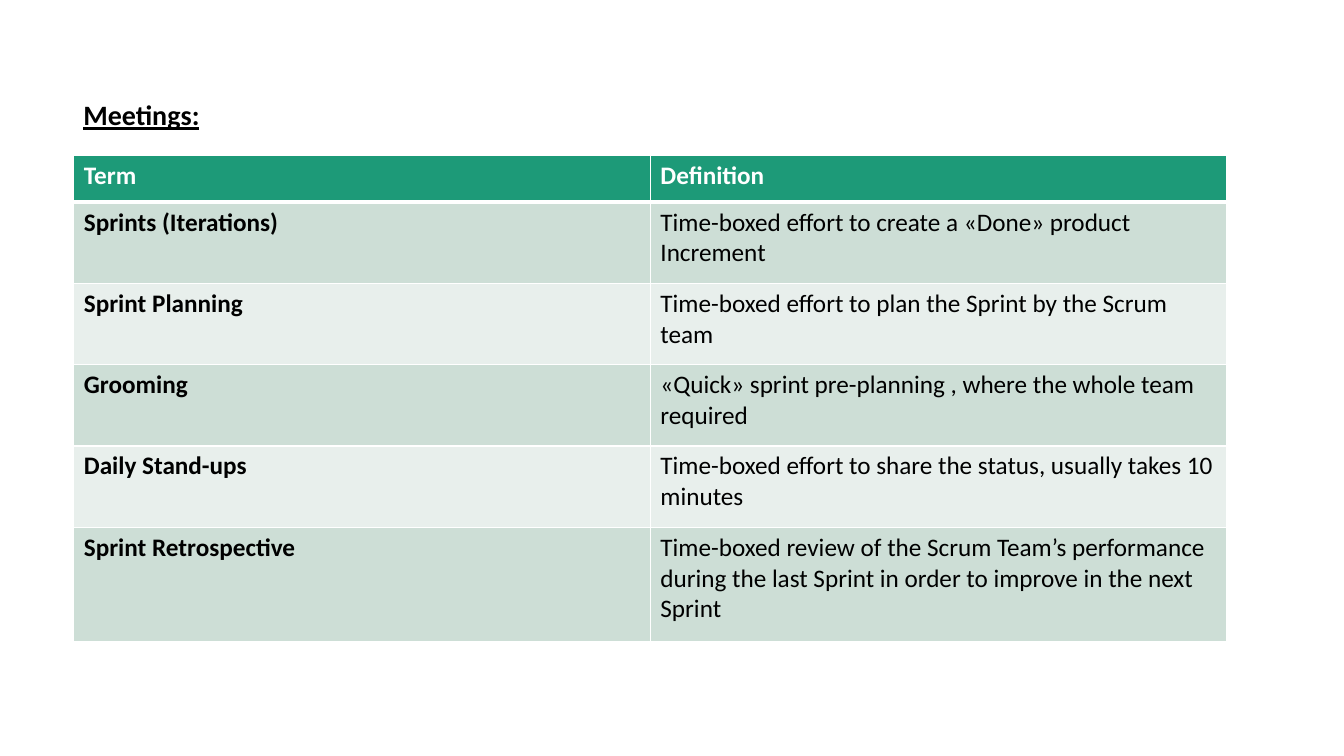
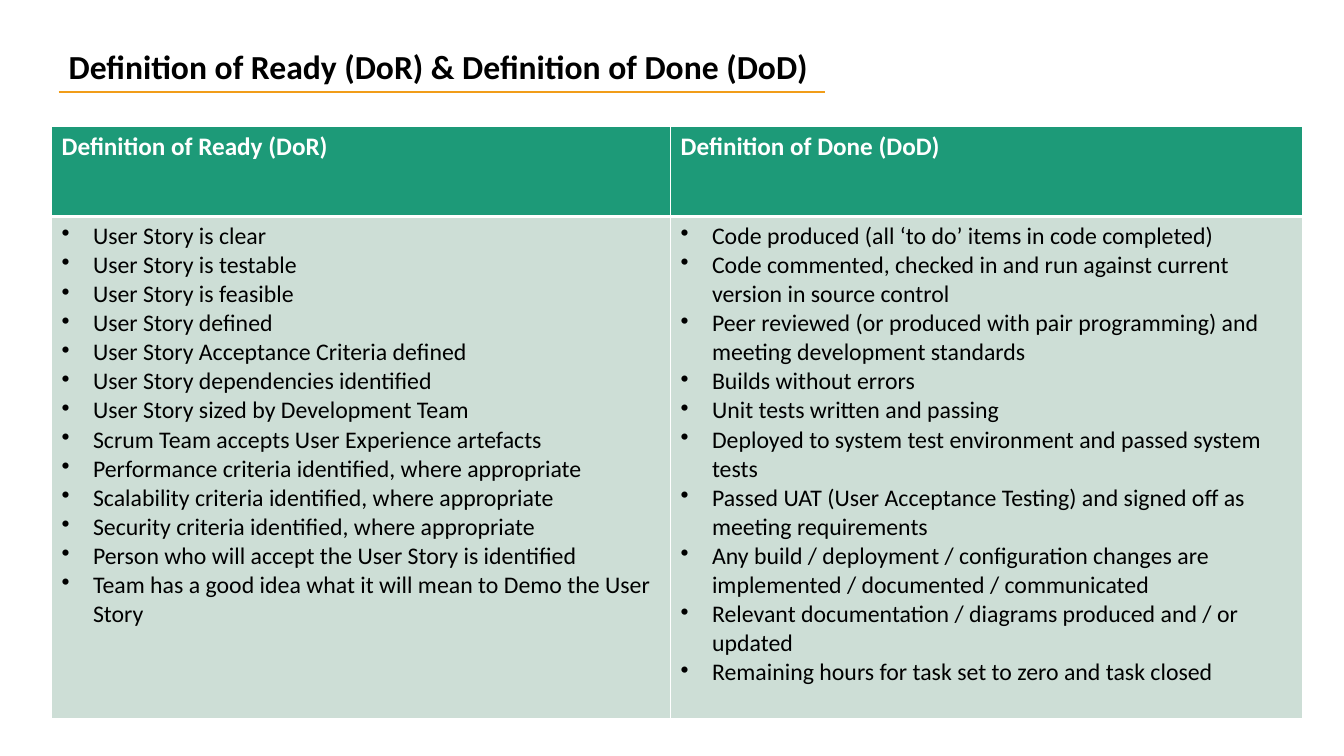
import lxml.etree
import pptx
import pptx.dml.color
import pptx.enum.shapes
import pptx.oxml.ns
import pptx.util

Cm = pptx.util.Cm
Pt = pptx.util.Pt
qn = pptx.oxml.ns.qn

FONT = "Calibri"
BLACK = "000000"
WHITE = "FFFFFF"
GREEN = "1D9A78"
BANDS = ["CDDED6", "E8EFEC"]
GOLD = "F19D19"

TERMS = [
    ("Sprints (Iterations)", "Time-boxed effort to create a «Done» product Increment"),
    ("Sprint Planning", "Time-boxed effort to plan the Sprint by the Scrum team"),
    ("Grooming", "«Quick» sprint pre-planning , where the whole team required"),
    ("Daily Stand-ups", "Time-boxed effort to share the status, usually takes 10 minutes"),
    ("Sprint Retrospective", "Time-boxed review of the Scrum Team’s performance during "
     "the last Sprint in order to improve in the next Sprint"),
]
READY = [
    "User Story is clear",
    "User Story is testable",
    "User Story is feasible",
    "User Story defined",
    "User Story Acceptance Criteria defined",
    "User Story dependencies identified",
    "User Story sized by Development Team",
    "Scrum Team accepts User Experience artefacts",
    "Performance criteria identified, where appropriate",
    "Scalability criteria identified, where appropriate",
    "Security criteria identified, where appropriate",
    "Person who will accept the User Story is identified",
    "Team has a good idea what it will mean to Demo the User Story",
]
DONE = [
    "Code produced (all ‘to do’ items in code completed)",
    "Code commented, checked in and run against current version in source control",
    "Peer reviewed (or produced with pair programming) and meeting development standards",
    "Builds without errors",
    "Unit tests written and passing",
    "Deployed to system test environment and passed system tests",
    "Passed UAT (User Acceptance Testing) and signed off as meeting requirements",
    "Any build / deployment / configuration changes are implemented / documented / communicated",
    "Relevant documentation / diagrams produced and / or updated",
    "Remaining hours for task set to zero and task closed",
]


def color(code):
    """Turn a hex string into a colour."""
    return pptx.dml.color.RGBColor.from_string(code)


def write(frame, text, size=18, ink=BLACK, bold=False, under=False, bullet=False):
    """Fill a frame with one paragraph per line of text."""
    frame.word_wrap = True
    for i, line in enumerate(text.split("\n")):
        para = frame.add_paragraph() if i else frame.paragraphs[0]
        run = para.add_run()
        run.text = line
        font = run.font
        font.name, font.size = FONT, Pt(size)
        font.bold, font.underline = bold, under
        font.color.rgb = color(ink)
        if bullet:
            props = para._p.get_or_add_pPr()
            props.set("marL", str(Cm(0.79)))
            props.set("indent", str(-Cm(0.79)))
            lxml.etree.SubElement(props, qn("a:buChar"), char="•")


def title(slide, text, left, top, width, height, **form):
    """Add a bold heading."""
    box = slide.shapes.add_textbox(Cm(left), Cm(top), Cm(width), Cm(height))
    write(box.text_frame, text, bold=True, **form)


def rule(slide, left, top, width):
    """Draw a gold horizontal line."""
    line = slide.shapes.add_connector(
        pptx.enum.shapes.MSO_CONNECTOR.STRAIGHT,
        Cm(left), Cm(top), Cm(left + width), Cm(top))
    line.line.color.rgb = color(GOLD)
    line.line.width = Pt(1.5)
    lxml.etree.SubElement(line._element.spPr, qn("a:effectLst"))


def border(cell, top, bottom):
    """Give a cell white edges."""
    props = cell._tc.get_or_add_tcPr()
    for side, width in (("L", 1), ("R", 1), ("T", top), ("B", bottom)):
        edge = lxml.etree.SubElement(props, qn("a:ln" + side), w=str(Pt(width)))
        fill = lxml.etree.SubElement(edge, qn("a:solidFill"))
        lxml.etree.SubElement(fill, qn("a:srgbClr"), val=WHITE)


def grid(slide, left, top, cols, rows, heads, body, form):
    """Add a table with a green head row and banded body rows."""
    table = slide.shapes.add_table(
        len(rows), len(cols), Cm(left), Cm(top), Cm(sum(cols)), Cm(sum(rows))).table
    table.horz_banding = False
    for col, width in zip(table.columns, cols):
        col.width = Cm(width)
    for row, height in zip(table.rows, rows):
        row.height = Cm(height)
    for r, texts in enumerate([heads] + body):
        for c, text in enumerate(texts):
            cell = table.cell(r, c)
            border(cell, 3 if r == 1 else 1, 3 if r == 0 else 1)
            cell.fill.solid()
            cell.fill.fore_color.rgb = color(BANDS[(r - 1) % 2] if r else GREEN)
            look = form[c] if r else {"ink": WHITE, "bold": True}
            write(cell.text_frame, text, **look)


def meets(slide):
    """Build the slide on meetings."""
    title(slide, "Meetings:", 1.85, 2.34, 3.81, 1.12, size=20, under=True)
    grid(slide, 1.86, 3.92, [14.53] * 2, [1.17] + [2.05] * 4 + [2.89],
         ["Term", "Definition"], TERMS, [{"bold": True}, {}])


def ready(slide):
    """Build the slide on ready and done."""
    title(slide, "Definition of Ready (DoR) & Definition of Done (DoD)",
          1.48, 1.04, 20.07, 1.28, size=24)
    rule(slide, 1.48, 2.32, 19.3)
    grid(slide, 1.3, 3.18, [15.6, 15.93], [2.28, 12.65],
         ["Definition of Ready (DoR)", "Definition of Done (DoD)"],
         [["\n".join(READY), "\n".join(DONE)]],
         [{"size": 17, "bullet": True}] * 2)


def main():
    """Make and save the deck."""
    deck = pptx.Presentation()
    deck.slide_width, deck.slide_height = Cm(33.87), Cm(19.05)
    for build in (meets, ready):
        build(deck.slides.add_slide(deck.slide_layouts[6]))
    deck.save("out.pptx")


if __name__ == "__main__":
    main()
